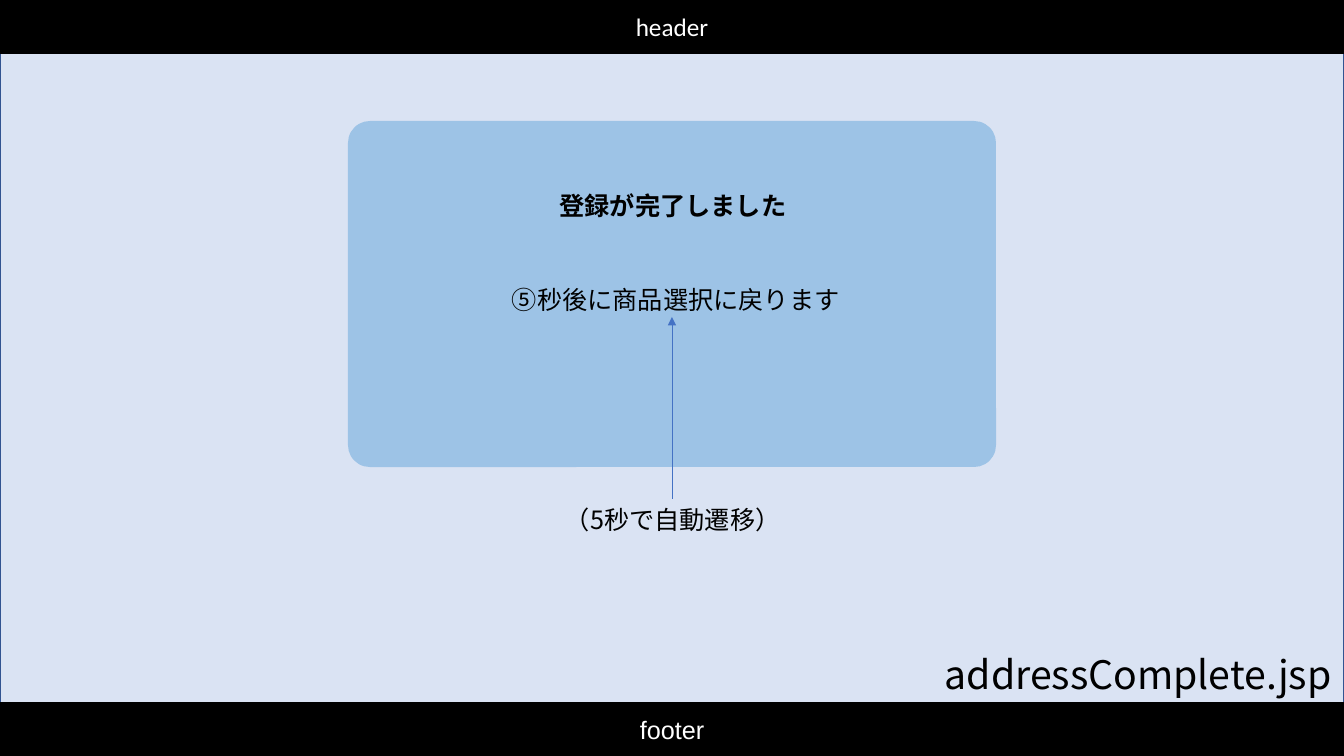
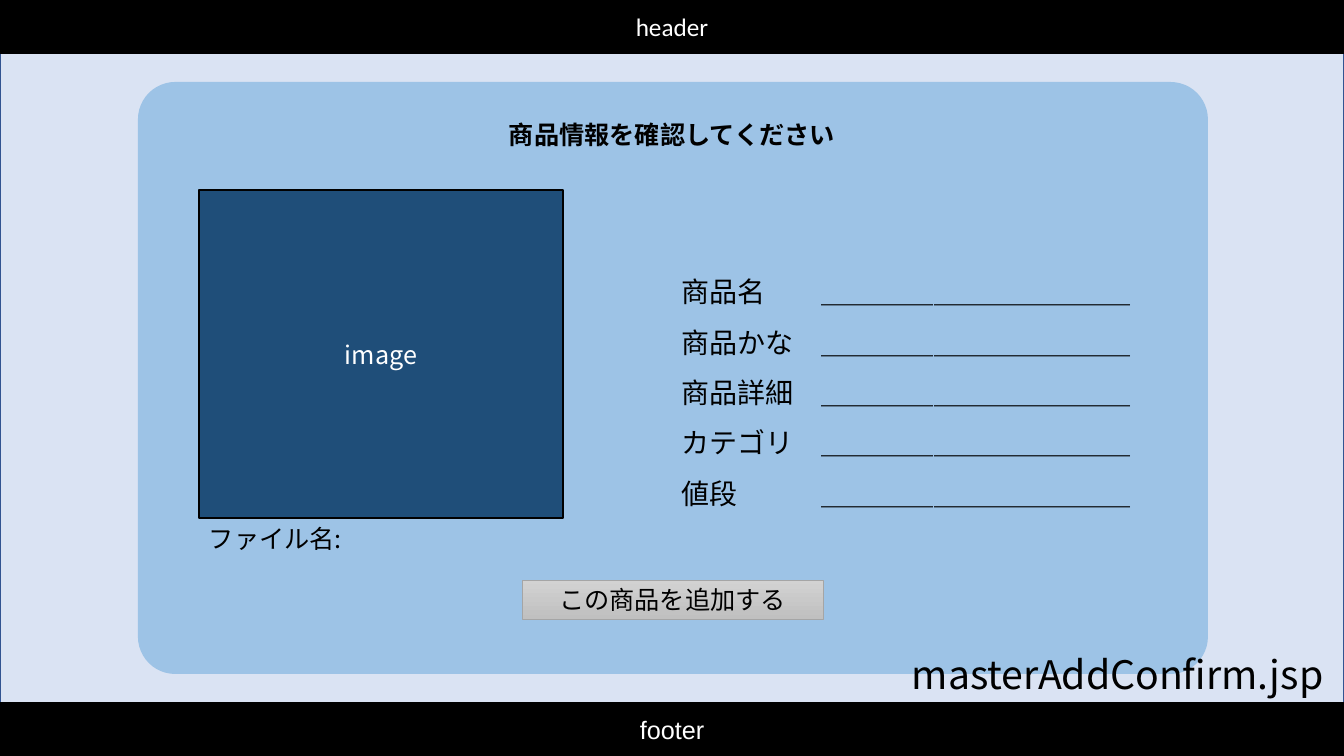
from dataclasses import dataclass

from lxml.etree import SubElement as Sub
from pptx import Presentation
from pptx.dml.color import RGBColor as Rgb
from pptx.enum.shapes import MSO_CONNECTOR as Link, MSO_SHAPE as Kind
from pptx.enum.text import MSO_ANCHOR as Anchor, MSO_AUTO_SIZE as Fit, PP_ALIGN as Align
from pptx.oxml.ns import qn
from pptx.util import Pt

PX = 914400 / 100.8
WIDE, HIGH = 1344, 756


@dataclass(frozen=True)
class Theme:
    """Colours, fonts and type sizes of both slides."""
    black: str = "000000"
    white: str = "FFFFFF"
    page: str = "DAE3F3"
    edge: str = "325491"
    card: str = "9DC3E6"
    photo: str = "1F4E79"
    arrow: str = "4472C4"
    light: str = "D2D2D2"
    dark: str = "C0C0C0"
    rim: str = "A5A5A5"
    font: str = "Noto Sans CJK JP"
    head: str = "Calibri"
    foot: str = "Arial"
    body: int = 18
    form: int = 20
    name: int = 28


look = Theme()


def draw(slide, box, fill, line=None, weight=1, kind=Kind.RECTANGLE):
    """Add a flat shape; box is left, top, width, height in pixels."""
    shape = slide.shapes.add_shape(kind, *[round(n * PX) for n in box])
    shape.shadow.inherit = False
    shape.fill.solid()
    shape.fill.fore_color.rgb = Rgb.from_string(fill)
    if line:
        shape.line.color.rgb = Rgb.from_string(line)
        shape.line.width = Pt(weight)
    else:
        shape.line.fill.background()
    return shape


def write(slide, box, text, size=look.body, color=look.black, font=look.font,
          bold=False, align=Align.LEFT, shape=None):
    """Set text in a shape, or in a new text box, and return its frame."""
    if shape:
        frame = shape.text_frame
        frame.vertical_anchor = Anchor.MIDDLE
    else:
        frame = slide.shapes.add_textbox(*[round(n * PX) for n in box]).text_frame
        frame.auto_size = Fit.SHAPE_TO_FIT_TEXT
    frame.word_wrap = True
    frame.text = text
    for para in frame.paragraphs:
        para.alignment = align
        for run in para.runs:
            run.font.size = Pt(size)
            run.font.name = font
            run.font.bold = bold
            run.font.color.rgb = Rgb.from_string(color)
            Sub(run.font._element, qn("a:ea")).set("typeface", look.font)
    return frame


deck = Presentation()
deck.slide_width, deck.slide_height = round(WIDE * PX), round(HIGH * PX)

# Shared frame: page, card, bands
bands = [("header", 0, 53, look.head), ("footer", 703, 53, look.foot)]
cards = [(348, 121, 648, 346), (138, 82, 1070, 592)]
slides = []
for card in cards:
    slide = deck.slides.add_slide(deck.slide_layouts[6])
    draw(slide, (0, 53, WIDE, 650), look.page, look.edge)
    panel = draw(slide, card, look.card, kind=Kind.ROUNDED_RECTANGLE)
    panel.adjustments[0] = 0.063
    for text, top, tall, font in bands:
        band = draw(slide, (0, top, WIDE, tall), look.black, look.black)
        write(slide, None, text, color=look.white, font=font,
              align=Align.CENTER, shape=band)
    slides.append(slide)
done, check = slides

# Registration complete
write(done, (502, 279, 510, 40), "⑤秒後に商品選択に戻ります")
write(done, (334, 185, 678, 72), "登録が完了しました", bold=True, align=Align.CENTER)
arrow = done.shapes.add_connector(
    Link.STRAIGHT, *[round(n * PX) for n in (672, 499, 672, 317)])
arrow.line.color.rgb = Rgb.from_string(look.arrow)
arrow.line.width = Pt(0.5)
Sub(arrow.line._get_or_add_ln(), qn("a:tailEnd")).set("type", "triangle")
Sub(arrow._element.spPr, qn("a:effectLst"))
write(done, (555, 499, 510, 40), "（5秒で自動遷移）")

# Product check
labels = ["商品名", "商品かな", "商品詳細", "カテゴリ", "値段"]
rule = "＿" * 11
form = write(check, (672, 253, 507, 265),
             "\n".join(f"{label}\t{rule}" for label in labels), look.form)
for para in form.paragraphs:
    para.line_spacing = 1.5
    tabs = Sub(para._p.get_or_add_pPr(), qn("a:tabLst"))
    stop = Sub(tabs, qn("a:tab"))
    stop.set("pos", str(round(140 * PX)))
    stop.set("algn", "l")

photo = draw(check, (199, 190, 364, 328), look.photo, look.black)
write(check, None, "image", color=look.white, align=Align.CENTER, shape=photo)
write(check, (199, 518, 385, 40), "ファイル名:")

button = draw(check, (522, 580, 301, 39), look.light, look.rim, 0.5)
button.fill.gradient()
button.fill.gradient_angle = 270
for stop, (color, place) in zip(button.fill.gradient_stops,
                                [(look.light, 0), (look.dark, 1)]):
    stop.color.rgb = Rgb.from_string(color)
    stop.position = place
write(check, None, "この商品を追加する", align=Align.CENTER, shape=button)
write(check, (333, 114, 678, 40), "商品情報を確認してください", bold=True,
      align=Align.CENTER)

# File names in the lower right corner
for slide, text, wide in [(done, "addressComplete.jsp", 409),
                          (check, "masterAddConfirm.jsp", 442)]:
    write(slide, (WIDE - wide, 645, wide, 57), text, look.name)

deck.save("out.pptx")
